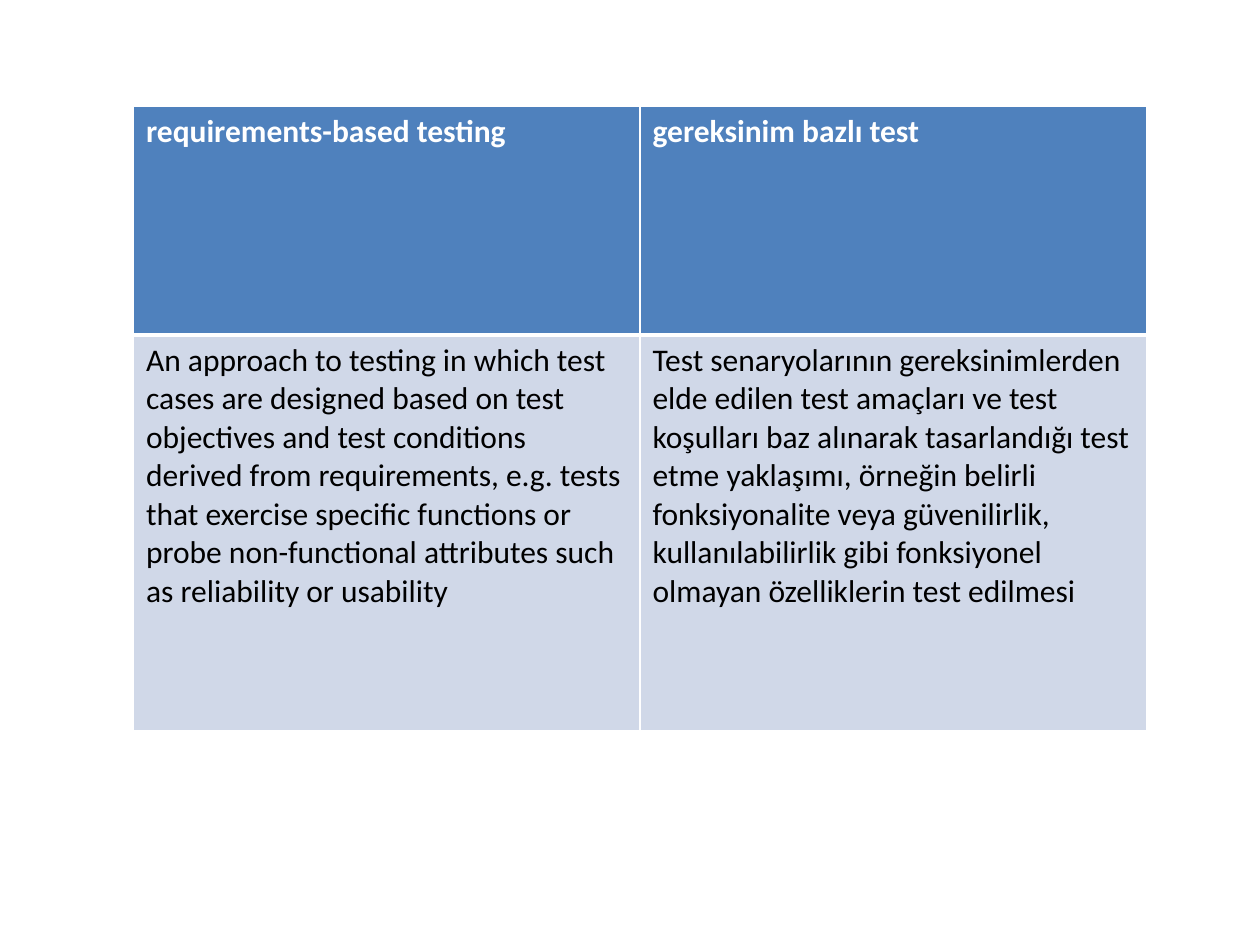
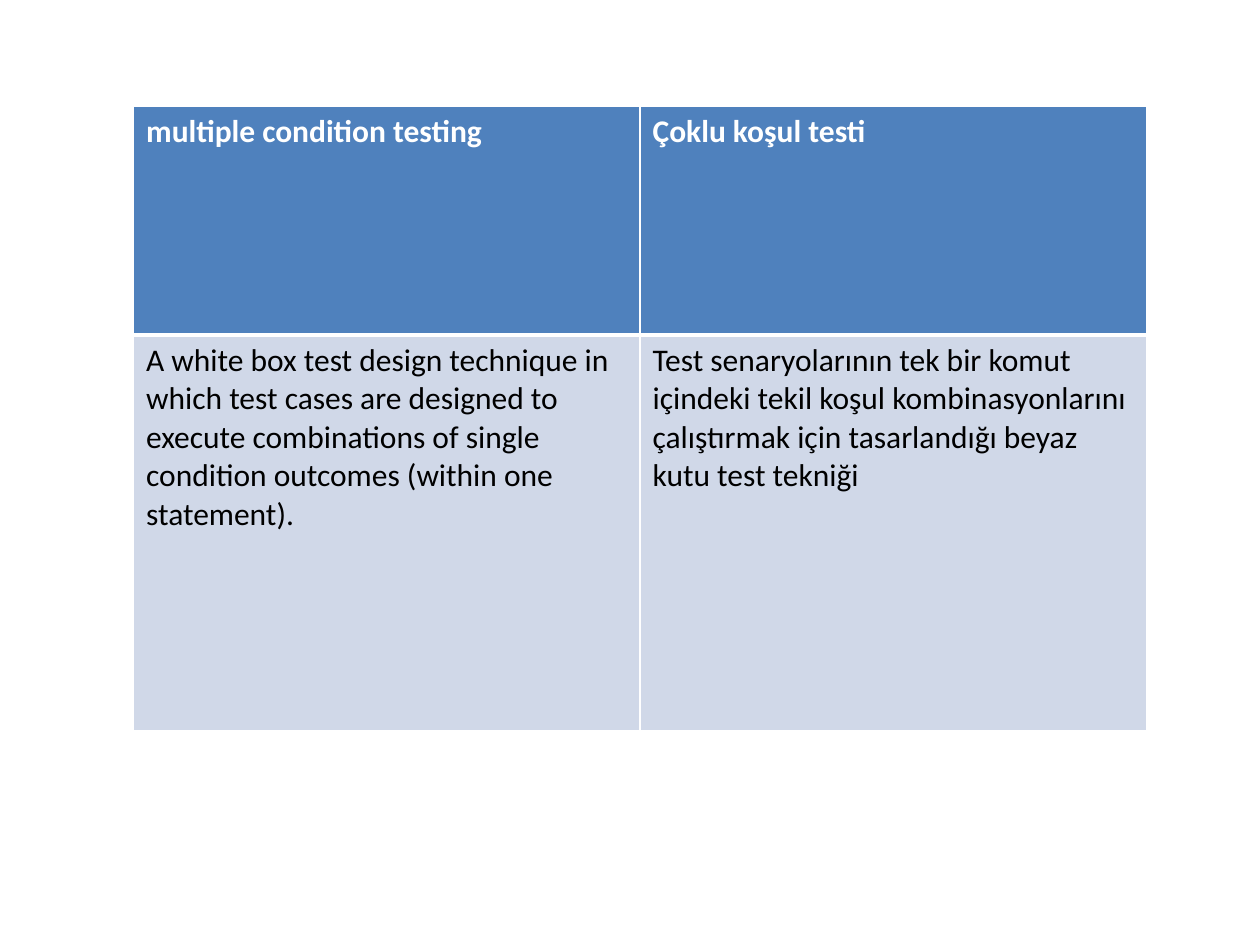
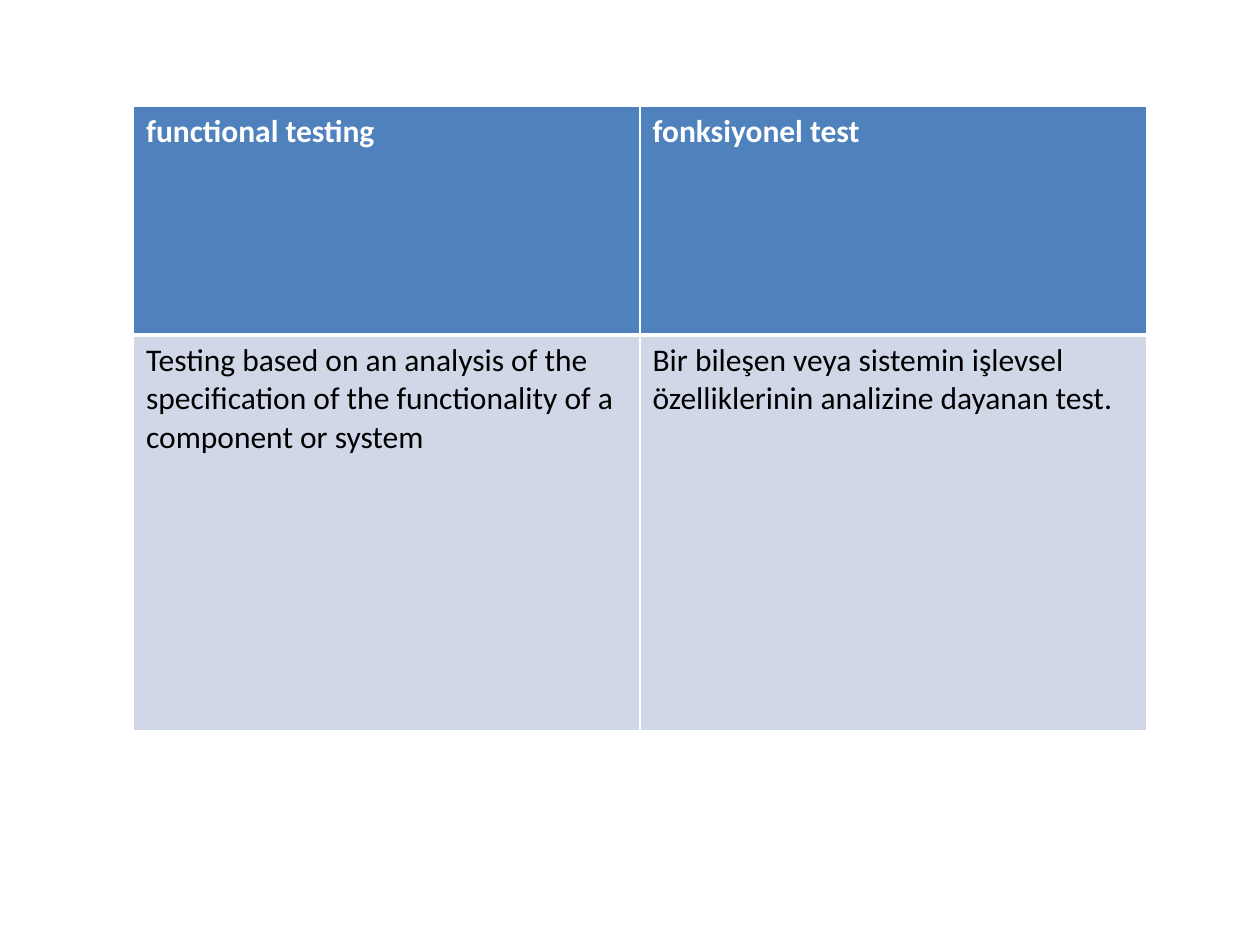
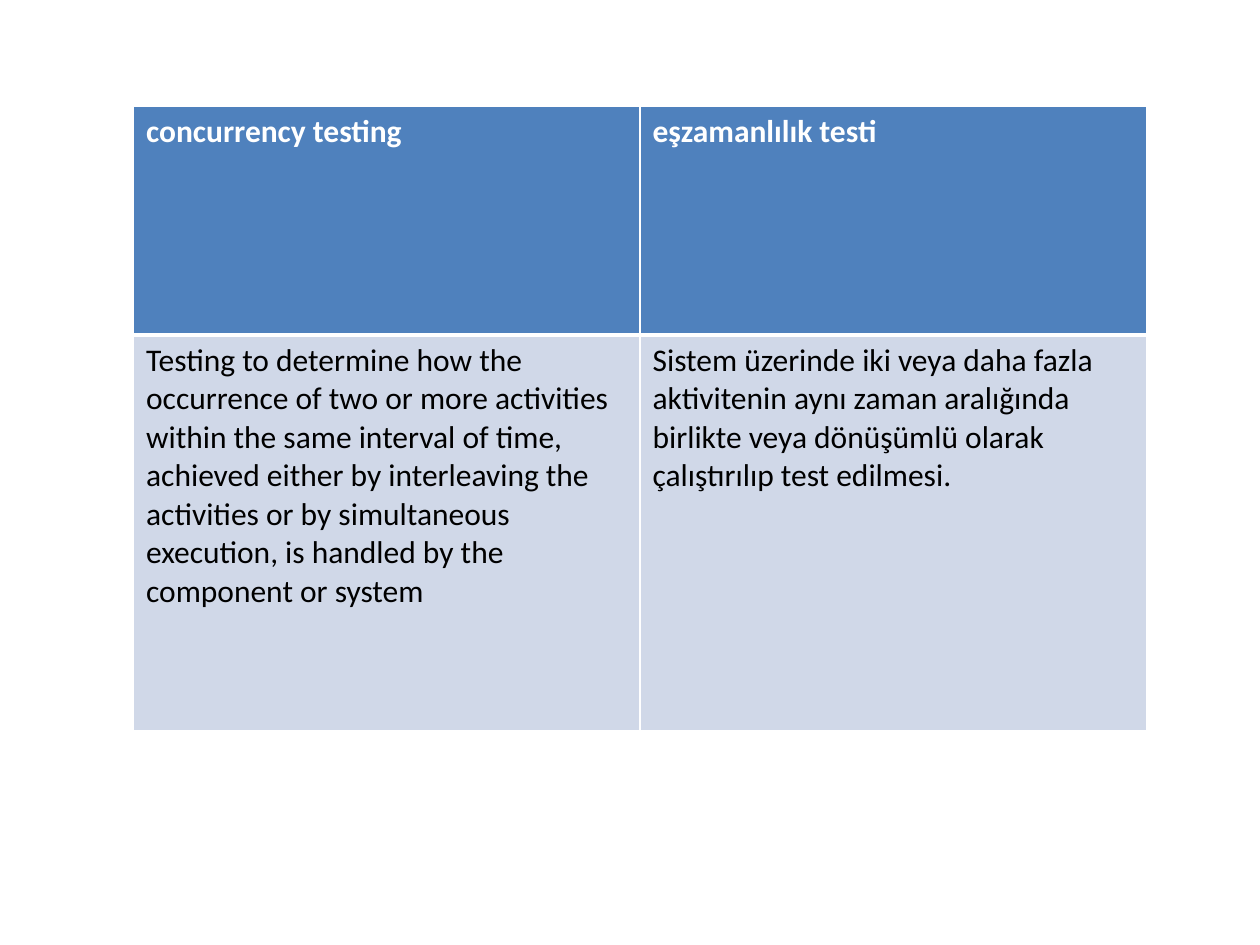
from lxml.etree import SubElement
from pptx import Presentation
from pptx.dml.color import RGBColor
from pptx.oxml.ns import qn
from pptx.util import Inches, Pt

COLORS = {
    "header": "4F81BD",
    "header_text": "FFFFFF",
    "body": "D0D8E8",
    "body_text": "000000",
    "border": "FFFFFF",
}
FONT = "Calibri"
TEXT_SIZE = 18
COLUMN_WIDTH = 4.02
ROW_HEIGHTS = (1.82, 3.14)
THIN, THICK = 1, 3

GLOSSARY = [
    (
        ("requirements-based testing", "gereksinim bazlı test"),
        (
            "An approach to testing in which test cases are designed based on "
            "test objectives and test conditions derived from requirements, "
            "e.g. tests that exercise specific functions or probe "
            "non-functional attributes such as reliability or usability",
            "Test senaryolarının gereksinimlerden elde edilen test amaçları "
            "ve test koşulları baz alınarak tasarlandığı test etme yaklaşımı, "
            "örneğin belirli fonksiyonalite veya güvenilirlik, "
            "kullanılabilirlik gibi fonksiyonel olmayan özelliklerin test "
            "edilmesi",
        ),
    ),
    (
        ("multiple condition testing", "Çoklu koşul testi"),
        (
            "A white box test design technique in which test cases are "
            "designed to execute combinations of single condition outcomes "
            "(within one statement).",
            "Test senaryolarının tek bir komut içindeki tekil koşul "
            "kombinasyonlarını çalıştırmak için tasarlandığı beyaz kutu test "
            "tekniği",
        ),
    ),
    (
        ("functional testing", "fonksiyonel test"),
        (
            "Testing based on an analysis of the specification of the "
            "functionality of a component or system",
            "Bir bileşen veya sistemin işlevsel özelliklerinin analizine "
            "dayanan test.",
        ),
    ),
    (
        ("concurrency testing", "eşzamanlılık testi"),
        (
            "Testing to determine how the occurrence of two or more "
            "activities within the same interval of time, achieved either by "
            "interleaving the activities or by simultaneous execution, is "
            "handled by the component or system",
            "Sistem üzerinde iki veya daha fazla aktivitenin aynı zaman "
            "aralığında birlikte veya dönüşümlü olarak çalıştırılıp test "
            "edilmesi.",
        ),
    ),
]


def color(role):
    return RGBColor.from_string(COLORS[role])


def set_borders(cell, top, bottom):
    properties = cell._tc.get_or_add_tcPr()
    widths = {"lnL": THIN, "lnR": THIN, "lnT": top, "lnB": bottom}
    for side, width in widths.items():
        border = SubElement(properties, qn(f"a:{side}"), w=str(Pt(width)))
        fill = SubElement(border, qn("a:solidFill"))
        SubElement(fill, qn("a:srgbClr"), val=COLORS["border"])


def fill_cell(cell, text, role):
    is_header = role == "header"
    set_borders(
        cell,
        top=THIN if is_header else THICK,
        bottom=THICK if is_header else THIN,
    )
    cell.fill.solid()
    cell.fill.fore_color.rgb = color(role)
    cell.text_frame.text = text
    font = cell.text_frame.paragraphs[0].runs[0].font
    font.name = FONT
    font.size = Pt(TEXT_SIZE)
    font.bold = is_header
    font.color.rgb = color(f"{role}_text")


def add_glossary_table(slide, terms, definitions):
    table = slide.shapes.add_table(
        2, 2, Inches(1.06), Inches(0.84),
        Inches(2 * COLUMN_WIDTH), Inches(sum(ROW_HEIGHTS)),
    ).table
    for column in table.columns:
        column.width = Inches(COLUMN_WIDTH)
    for row, height in zip(table.rows, ROW_HEIGHTS):
        row.height = Inches(height)
    for row, role, texts in zip(
        table.rows, ("header", "body"), (terms, definitions)
    ):
        for cell, text in zip(row.cells, texts):
            fill_cell(cell, text, role)


def main():
    presentation = Presentation()
    presentation.slide_width = Inches(10)
    presentation.slide_height = Inches(7.5)
    blank = presentation.slide_layouts[6]
    for terms, definitions in GLOSSARY:
        slide = presentation.slides.add_slide(blank)
        add_glossary_table(slide, terms, definitions)
    presentation.save("out.pptx")


main()
